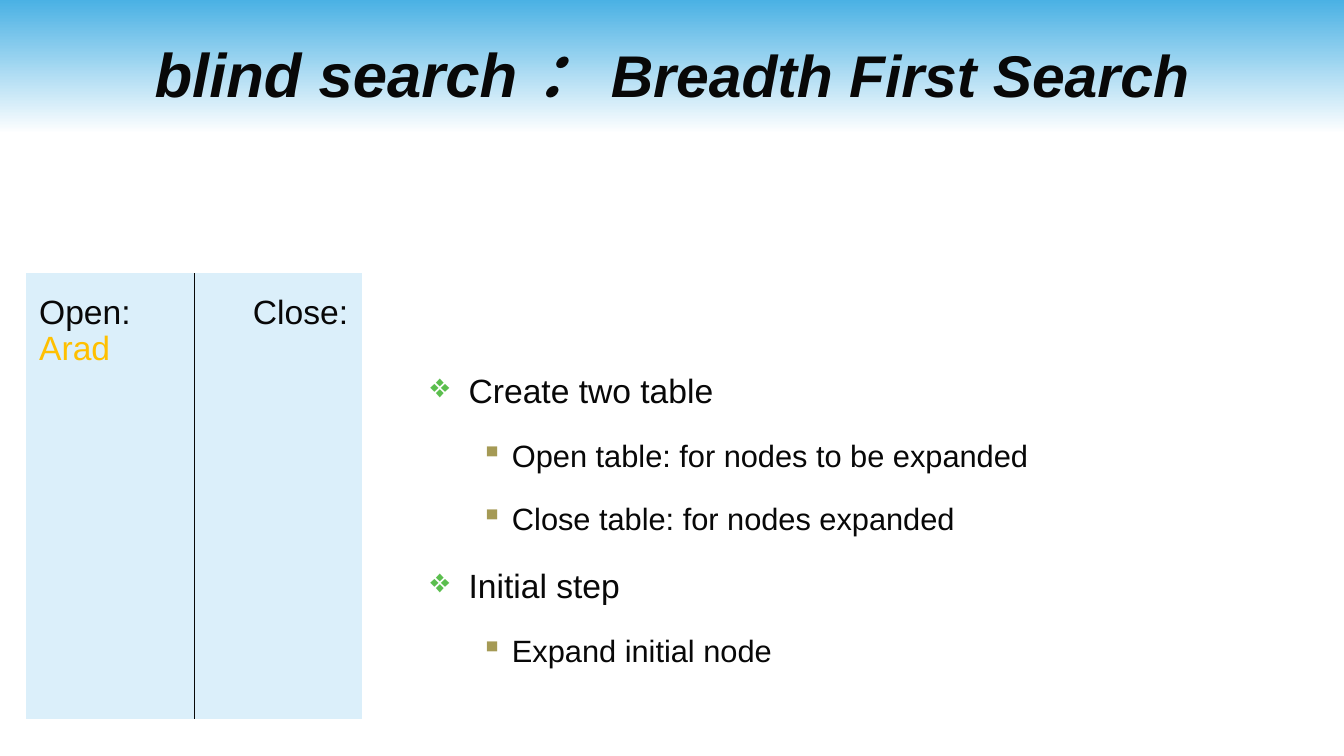
from pptx import Presentation
from pptx.dml.color import RGBColor
from pptx.enum.shapes import MSO_CONNECTOR, MSO_SHAPE
from pptx.enum.text import MSO_ANCHOR, PP_ALIGN
from pptx.oxml.ns import qn
from pptx.util import Inches, Pt
from lxml import etree

COLORS = {"sky": "4AB1E4", "white": "FFFFFF", "panel": "DBEFFA", "ink": "080808",
          "node": "FFC000", "diamond": "5BBE4E", "square": "A59A55"}

prs = Presentation()
prs.slide_width, prs.slide_height = Inches(13.33), Inches(7.5)
s = prs.slides.add_slide(prs.slide_layouts[6])


def add_text(left, top, width, height):
    tf = s.shapes.add_textbox(*map(Inches, (left, top, width, height))).text_frame
    tf.word_wrap = True
    return tf


def add_run(p, text, size, color="ink", bold=False):
    r = p.add_run()
    r.text = text
    r.font.name, r.font.size = "Arial", Pt(size)
    r.font.bold = r.font.italic = bold
    r.font.color.rgb = RGBColor.from_string(COLORS[color])


# Header band
band = s.shapes.add_shape(MSO_SHAPE.RECTANGLE, 0, 0, prs.slide_width, Inches(1.33))
band.shadow.inherit = False
band.line.fill.background()
band.fill.gradient()
band.fill.gradient_angle = 270
for stop, position, name in zip(band.fill.gradient_stops, (0, 1), ("sky", "white")):
    stop.position = position
    stop.color.rgb = RGBColor.from_string(COLORS[name])

# Panel for the two tables
panel_left, panel_top, panel_width, panel_height = 0.26, 2.71, 3.33, 4.42
panel = s.shapes.add_shape(MSO_SHAPE.RECTANGLE, *map(
    Inches, (panel_left, panel_top, panel_width, panel_height)))
panel.shadow.inherit = False
panel.fill.solid()
panel.fill.fore_color.rgb = RGBColor.from_string(COLORS["panel"])
panel.line.color.rgb = RGBColor.from_string(COLORS["panel"])
panel.line.width = Pt(0.75)

# Title
tf = add_text(0, 0.25, 13.33, 0.95)
tf.vertical_anchor = MSO_ANCHOR.MIDDLE
p = tf.paragraphs[0]
p.alignment = PP_ALIGN.CENTER
add_run(p, "blind search ： ", 44, bold=True)
add_run(p, "Breadth First Search", 42, bold=True)

# Table headings
for left, height, parts in (
        (0.29, 0.83, [("Open: ", "ink"), ("Arad", "node")]),
        (2.41, 0.46, [("Close:", "ink")])):
    p = add_text(left, 2.88, 1.81, height).paragraphs[0]
    p.line_spacing = 0.9
    for text, color in parts:
        add_run(p, text, 24, color)

# Steps: level -> bullet, bullet colour, margin, hanging indent, size
LEVELS = [("❖", "diamond", 0.38, 0.38, 24), ("▪", "square", 0.81, 0.31, 22)]
steps = [(0, "Create two table"),
         (1, "Open table: for nodes to be expanded"),
         (1, "Close table: for nodes expanded"),
         (0, "Initial step"),
         (1, "Expand initial node")]
tf = add_text(4.17, 3.42, 6.96, 3.34)
for i, (level, text) in enumerate(steps):
    bullet, color, margin, hanging, size = LEVELS[level]
    p = tf.add_paragraph() if i else tf.paragraphs[0]
    p.level = level
    p.line_spacing = 1.5
    if i:
        p.space_before = Pt(5.6)
    pPr = p._p.get_or_add_pPr()
    pPr.set("marL", str(Inches(margin)))
    pPr.set("indent", str(-Inches(hanging)))
    buClr = etree.SubElement(pPr, qn("a:buClr"))
    etree.SubElement(buClr, qn("a:srgbClr"), val=COLORS[color])
    etree.SubElement(pPr, qn("a:buChar"), char=bullet)
    add_run(p, text, size)

# Divider in the middle of the panel
x = Inches(panel_left + panel_width / 2)
divider = s.shapes.add_connector(MSO_CONNECTOR.STRAIGHT, x, Inches(panel_top),
                                 x, Inches(panel_top + panel_height))
divider.line.color.rgb = RGBColor.from_string(COLORS["ink"])
divider.line.width = Pt(0.75)
etree.SubElement(divider._element.spPr, qn("a:effectLst"))

prs.save("out.pptx")
